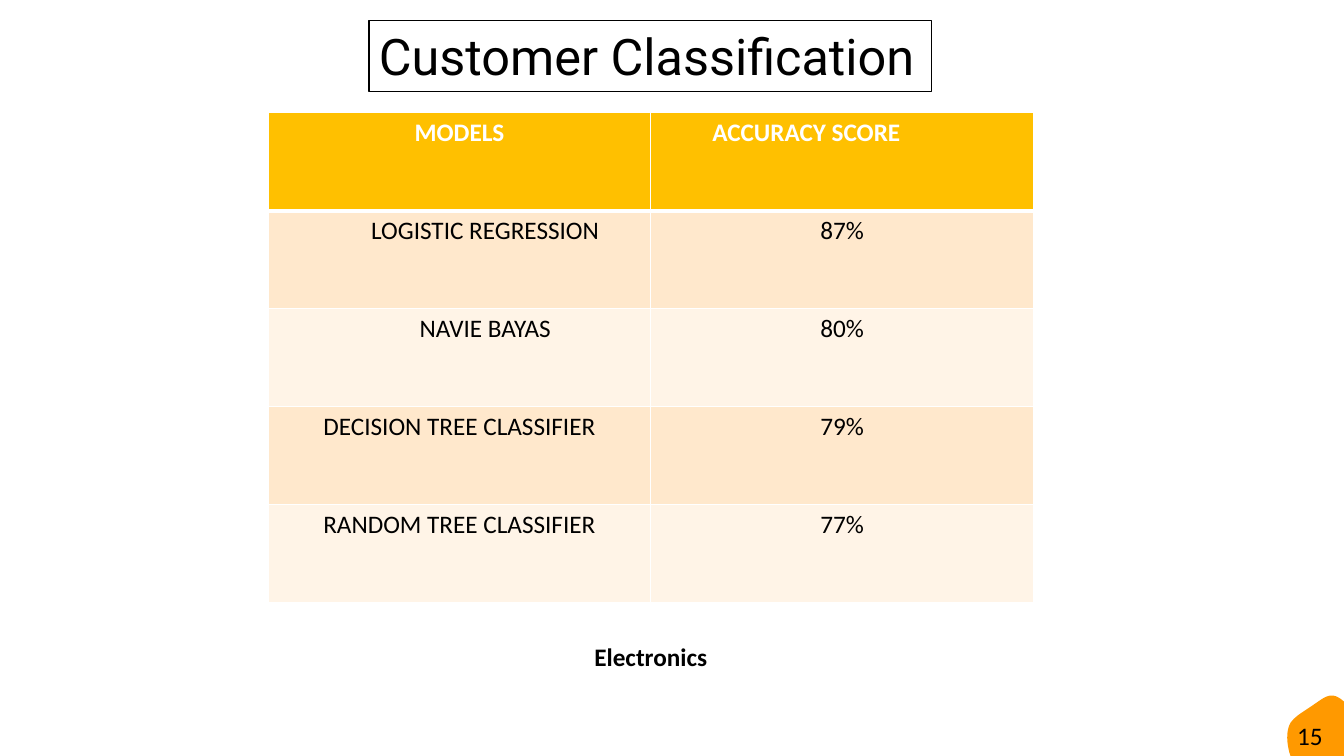
from dataclasses import dataclass

from lxml import etree
from pptx import Presentation
from pptx.dml.color import RGBColor
from pptx.enum.shapes import MSO_SHAPE
from pptx.enum.text import MSO_ANCHOR, MSO_AUTO_SIZE, PP_ALIGN
from pptx.oxml.ns import qn
from pptx.util import Inches, Pt

RECT = MSO_SHAPE.RECTANGLE
TOP, MIDDLE = MSO_ANCHOR.TOP, MSO_ANCHOR.MIDDLE
LEFT, CENTER = PP_ALIGN.LEFT, PP_ALIGN.CENTER
GROW = MSO_AUTO_SIZE.SHAPE_TO_FIT_TEXT

BLACK = RGBColor(0x00, 0x00, 0x00)
WHITE = RGBColor(0xFF, 0xFF, 0xFF)
ORANGE = RGBColor(0xFF, 0x99, 0x00)
GOLD = RGBColor(0xFF, 0xC0, 0x00)
BANDS = (RGBColor(0xFF, 0xE8, 0xCC), RGBColor(0xFF, 0xF4, 0xE7))

TITLE = {"name": "Roboto", "size": Pt(36), "bold": False}
BODY = {"name": "Calibri", "size": Pt(18), "bold": False}
STRONG = {**BODY, "bold": True}

PAD = 0.1
INDENT = 0.61
TABLE_LEFT, TABLE_TOP = 2.66, 1.12
TABLE_WIDTH, TABLE_HEIGHT = 7.59, 4.86


@dataclass
class Entry:
    text: str
    align: PP_ALIGN = CENTER
    margin: float = PAD


ROWS = [
    (Entry("MODELS"), Entry("ACCURACY SCORE", LEFT, INDENT)),
    (Entry("LOGISTIC REGRESSION", margin=INDENT), Entry("87%")),
    (Entry("NAVIE BAYAS", margin=INDENT), Entry("80%")),
    (Entry("DECISION TREE CLASSIFIER"), Entry("79%")),
    (Entry("RANDOM TREE CLASSIFIER"), Entry("77%")),
]

# Badge outline: start point, then two control points and an end point per curve
BADGE_START = (13.38, 7.02)
BADGE_CURVES = [
    ((13.43, 7.08), (13.45, 7.14), (13.5, 7.21)),
    ((13.55, 7.28), (13.62, 7.36), (13.61, 7.43)),
    ((13.61, 7.49), (13.52, 7.54), (13.44, 7.58)),
    ((13.36, 7.62), (13.28, 7.64), (13.19, 7.66)),
    ((13.1, 7.68), (13, 7.7), (12.92, 7.66)),
    ((12.85, 7.62), (12.8, 7.53), (12.78, 7.43)),
    ((12.76, 7.34), (12.76, 7.24), (12.8, 7.17)),
    ((12.85, 7.1), (12.93, 7.06), (13, 7.01)),
    ((13.08, 6.96), (13.14, 6.9), (13.21, 6.9)),
    ((13.27, 6.9), (13.34, 6.96), (13.38, 7.02)),
]
STEPS = 10


def write(tf, text: str, fmt: dict, color: RGBColor, align: PP_ALIGN = LEFT) -> None:
    p = tf.paragraphs[0]
    p.alignment = align
    r = p.add_run()
    r.text = text
    for key, value in fmt.items():
        setattr(r.font, key, value)
    r.font.color.rgb = color


def set_borders(cell, widths: dict[str, float]) -> None:
    tc_pr = cell._tc.get_or_add_tcPr()
    for i, (side, width) in enumerate(widths.items()):
        ln = etree.Element(qn(f"a:ln{side}"), w=str(Pt(width)))
        fill = etree.SubElement(ln, qn("a:solidFill"))
        etree.SubElement(fill, qn("a:srgbClr"), val=str(WHITE))
        tc_pr.insert(i, ln)


def curve_points(start: tuple, curves: list) -> list[tuple[int, int]]:
    """Points along the curves, in EMU, since freeforms take whole numbers."""
    points = [tuple(Inches(v) for v in start)]
    for c1, c2, end in curves:
        corners = (start, c1, c2, end)
        for k in range(1, STEPS + 1):
            t = k / STEPS
            u = 1 - t
            weights = (u**3, 3 * u * u * t, 3 * u * t * t, t**3)
            points.append(tuple(Inches(sum(w * c[axis] for w, c in zip(weights, corners)))
                                for axis in (0, 1)))
        start = end
    return points


def add_title(s) -> None:
    sp = s.shapes.add_shape(RECT, Inches(3.66), Inches(0.2), Inches(5.58), Inches(0.71))
    sp.shadow.inherit = False
    sp.fill.background()
    sp.line.color.rgb = BLACK
    sp.line.width = Pt(0.75)
    tf = sp.text_frame
    tf.word_wrap, tf.auto_size, tf.vertical_anchor = True, GROW, TOP
    write(tf, "Customer Classification", TITLE, BLACK)


def add_badge(s) -> None:
    start, *rest = curve_points(BADGE_START, BADGE_CURVES)
    builder = s.shapes.build_freeform(*start)
    builder.add_line_segments(rest, close=True)
    sp = builder.convert_to_shape()
    sp.shadow.inherit = False
    sp.fill.solid()
    sp.fill.fore_color.rgb = ORANGE
    sp.line.fill.background()
    sp.text_frame.word_wrap = True
    sp.text_frame.vertical_anchor = MIDDLE
    write(sp.text_frame, "15", BODY, BLACK)


def add_scores(s) -> None:
    table = s.shapes.add_table(
        len(ROWS), 2, Inches(TABLE_LEFT), Inches(TABLE_TOP),
        Inches(TABLE_WIDTH), Inches(TABLE_HEIGHT)).table
    for i, entries in enumerate(ROWS):
        header = i == 0
        for j, entry in enumerate(entries):
            cell = table.cell(i, j)
            cell.margin_left = Inches(entry.margin)
            cell.fill.solid()
            cell.fill.fore_color.rgb = GOLD if header else BANDS[(i - 1) % 2]
            set_borders(cell, {"L": 1, "R": 1, "T": 3 if i == 1 else 1,
                               "B": 3 if header else 1})
            write(cell.text_frame, entry.text, STRONG if header else BODY,
                  WHITE if header else BLACK, entry.align)


def add_caption(s) -> None:
    sp = s.shapes.add_textbox(Inches(TABLE_LEFT), Inches(6.31),
                              Inches(TABLE_WIDTH), Inches(0.4))
    tf = sp.text_frame
    tf.word_wrap, tf.auto_size = True, GROW
    write(tf, "Electronics", STRONG, BLACK, CENTER)


def main() -> None:
    prs = Presentation()
    prs.slide_width, prs.slide_height = Inches(13.33), Inches(7.5)
    s = prs.slides.add_slide(prs.slide_layouts[6])
    add_title(s)
    add_badge(s)
    add_scores(s)
    add_caption(s)
    prs.save("out.pptx")


if __name__ == "__main__":
    main()
